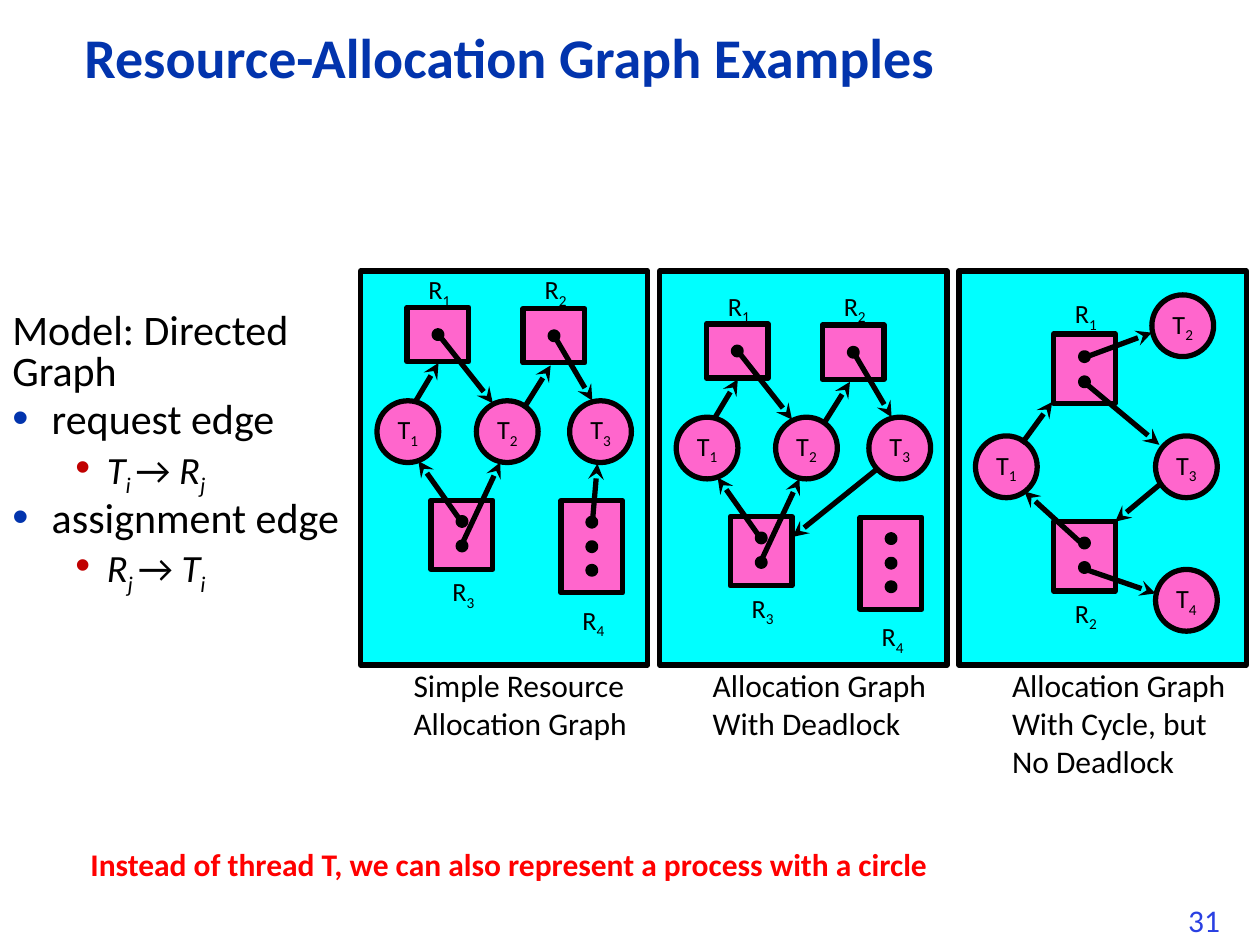
from lxml.etree import SubElement
from pptx import Presentation
from pptx.dml.color import RGBColor as RGB
from pptx.enum.shapes import MSO_CONNECTOR as Conn, MSO_SHAPE as Kind
from pptx.enum.text import MSO_ANCHOR as Anchor, PP_ALIGN as Align
from pptx.oxml.ns import qn
from pptx.util import Pt

HUES = {"title": "0234AD", "text": "000000", "sub": "C00000", "panel": "00FFFF",
        "node": "FF66CC", "note": "FF0000", "page": "2A40E2"}
NODE = 35.3
DOT = 4.4

CIRCLES = [("1", 9.4, 74.2), ("2", 66.2, 74.2), ("3", 119.5, 74.2)]
BOXES = [("1", 26.6, 20.9, 31, -23, [13.3]),
         ("2", 92.9, 21.6, 31, -23.7, [13.3]),
         ("3", 40.3, 131, 39.6, 39.6, [10, 24]),
         ("4", 114.5, 131.4, 52.6, 55.4, [10, 24, 37.5])]
EDGES = [(31.7, 74.2, 44.6, 52.6), (45.4, 37.4, 75.6, 75.6),
         (94.3, 77, 108.7, 54), (110.9, 37.4, 132.5, 74.2),
         (57.6, 143.3, 33.1, 108.7), (57.6, 157, 79.9, 109.4)]
CYCLE = {
    "circles": [("1", 9.4, 94.3), ("2", 110.2, 13.7),
                ("3", 112.3, 94.3), ("4", 112.3, 170.6)],
    "boxes": [("1", 54, 36, 39.6, -24.5, [10.8, 25.2]),
              ("2", 54, 143.3, 39.6, 39.6, [10, 24])],
    "edges": [(36, 98.6, 53.3, 74.9), (70.6, 156.2, 37.4, 126),
              (70.6, 170, 112.3, 184.3), (115.2, 121.7, 89.3, 143.3),
              (71.3, 63.4, 114.5, 99.4), (71.3, 49.7, 110.2, 35.3)],
}
PANELS = [
    {"circles": CIRCLES, "boxes": BOXES, "shift": 0,
     "edges": EDGES + [(132.5, 144, 135.4, 110.2)],
     "title": ["Simple Resource", "Allocation Graph"]},
    {"circles": CIRCLES, "boxes": BOXES, "shift": 9.4,
     "edges": EDGES + [(123.5, 104.4, 76, 142.6)],
     "title": ["Allocation Graph\nWith Deadlock"]},
    {**CYCLE, "shift": 0,
     "title": ["Allocation Graph\nWith Cycle, but", "No Deadlock"]},
]


def add_run(para, text, size, hue="text", bold=False, slant=False, low=False):
    """Add one styled run, lowered to a subscript when low is set."""
    run = para.add_run()
    run.text = text
    font = run.font
    font.name, font.size, font.bold, font.italic = "Calibri", Pt(size), bold, slant
    font.color.rgb = RGB.from_string(HUES[hue])
    if low:
        run._r.get_or_add_rPr().set("baseline", "-25000")


def add_name(para, letter, index):
    """Add a node name with its index as a subscript."""
    add_run(para, letter, 15)
    add_run(para, index, 15, low=True)


def add_text(slide, x, y, wide, high, wrap=False):
    """Add a text box and return its frame."""
    frame = slide.shapes.add_textbox(Pt(x), Pt(y), Pt(wide), Pt(high)).text_frame
    frame.word_wrap = wrap
    return frame


def add_form(slide, kind, x, y, wide, high, hue):
    """Add a filled shape with a thick black line."""
    form = slide.shapes.add_shape(kind, Pt(x), Pt(y), Pt(wide), Pt(high))
    form.shadow.inherit = False
    form.fill.solid()
    form.fill.fore_color.rgb = RGB.from_string(HUES[hue])
    form.line.color.rgb = RGB.from_string(HUES["text"])
    form.line.width = Pt(3)
    return form


def add_edge(slide, x1, y1, x2, y2):
    """Add an arrow between two points."""
    edge = slide.shapes.add_connector(Conn.STRAIGHT, Pt(x1), Pt(y1), Pt(x2), Pt(y2))
    edge.line.color.rgb = RGB.from_string(HUES["text"])
    edge.line.width = Pt(3)
    SubElement(edge.line._get_or_add_ln(), qn("a:tailEnd"), type="stealth")
    SubElement(edge._element.spPr, qn("a:effectLst"))


def add_thread(slide, x, y, index):
    """Draw a thread as a named circle."""
    frame = add_form(slide, Kind.OVAL, x, y, NODE, NODE, "node").text_frame
    frame.word_wrap = False
    frame.vertical_anchor = Anchor.MIDDLE
    para = frame.paragraphs[0]
    para.alignment = Align.CENTER
    add_name(para, "T", index)


def add_store(slide, x, y, high, index, drop, dots):
    """Draw a resource as a box with one dot for each instance and a label."""
    add_form(slide, Kind.RECTANGLE, x, y, NODE, high, "node")
    for dot in dots:
        add_form(slide, Kind.OVAL, x + 15.5, y + dot, DOT, DOT, "text")
    frame = add_text(slide, x + 5.2, y + drop, 28.4, 25.2)
    add_name(frame.paragraphs[0], "R", index)


def add_panel(slide, x, y, wide, high, data):
    """Draw one graph in its panel with a caption below."""
    add_form(slide, Kind.RECTANGLE, x, y, wide, high, "panel")
    top = y + data["shift"]
    for index, left, down in data["circles"]:
        add_thread(slide, x + left, top + down, index)
    for index, left, down, tall, drop, dots in data["boxes"]:
        add_store(slide, x + left, top + down, tall, index, drop, dots)
    for x1, y1, x2, y2 in data["edges"]:
        add_edge(slide, x + x1, top + y1, x + x2, top + y2)
    frame = add_text(slide, x + 23.2, y + high - 3, 138.2, 51.1)
    for spot, block in enumerate(data["title"]):
        para = frame.add_paragraph() if spot else frame.paragraphs[0]
        for row, line in enumerate(block.split("\n")):
            if row:
                para.add_line_break()
            add_run(para, line, 18)


def add_bullet(para, left, hang, hue):
    """Give a paragraph a coloured bullet and a hanging indent."""
    props = para._p.get_or_add_pPr()
    props.set("marL", str(Pt(left)))
    props.set("indent", str(-Pt(hang)))
    SubElement(SubElement(props, qn("a:buClr")), qn("a:srgbClr"), val=HUES[hue])
    SubElement(props, qn("a:buSzPct"), val="110000")
    SubElement(props, qn("a:buFont"), typeface="Arial")
    SubElement(props, qn("a:buChar"), char="•")


def add_model(slide, x, y, wide, high):
    """Write the list that explains both kinds of edge."""
    frame = add_text(slide, x, y, wide, high, wrap=True)
    para = frame.paragraphs[0]
    para.line_spacing = 0.8
    add_run(para, "Model: Directed Graph", 24)
    rules = [("request edge", "T", "i ", "R", "j"),
             ("assignment edge", "R", "j ", "T", "i")]
    for name, start, first, end, last in rules:
        head = frame.add_paragraph()
        add_bullet(head, 22.5, 22.5, "title")
        add_run(head, name, 24)
        item = frame.add_paragraph()
        item.level = 1
        add_bullet(item, 54, 18, "sub")
        add_run(item, start, 22, slant=True)
        add_run(item, first, 22, slant=True, low=True)
        add_run(item, "→ ", 22)
        add_run(item, end, 22, slant=True)
        add_run(item, last, 22, slant=True, low=True)
        for para, gap in ((head, 4.8), (item, 4.4)):
            para.line_spacing = 0.8
            para.space_before = Pt(gap)


def add_title(slide, x, y, wide, high):
    """Place and format the slide title."""
    title = slide.shapes.title
    title.left, title.top, title.width, title.height = map(Pt, (x, y, wide, high))
    title.text_frame.vertical_anchor = Anchor.MIDDLE
    para = title.text_frame.paragraphs[0]
    para.alignment = Align.LEFT
    para.line_spacing = 0.9
    add_run(para, "Resource-Allocation Graph Examples", 32, "title", bold=True)


def main():
    """Build the slide and save it."""
    deck = Presentation()
    deck.slide_width, deck.slide_height = Pt(720), Pt(540)
    slide = deck.slides.add_slide(deck.slide_layouts[5])
    add_title(slide, 41, 13.7, 563.8, 41.8)
    add_model(slide, 0, 175.7, 208.8, 257)
    for spot, data in enumerate(PANELS):
        add_panel(slide, 206 + 171 * spot, 154.8, 164.2, 225.2, data)
    note = add_text(slide, 44.6, 479.5, 496.8, 28.8).paragraphs[0]
    add_run(note, "Instead of thread T, we can also represent a process with a circle",
            18, "note", bold=True)
    page = add_text(slide, 671.8, 511.2, 36.7, 28.8).paragraphs[0]
    add_run(page, "31", 18, "page")
    deck.save("out.pptx")


if __name__ == "__main__":
    main()
